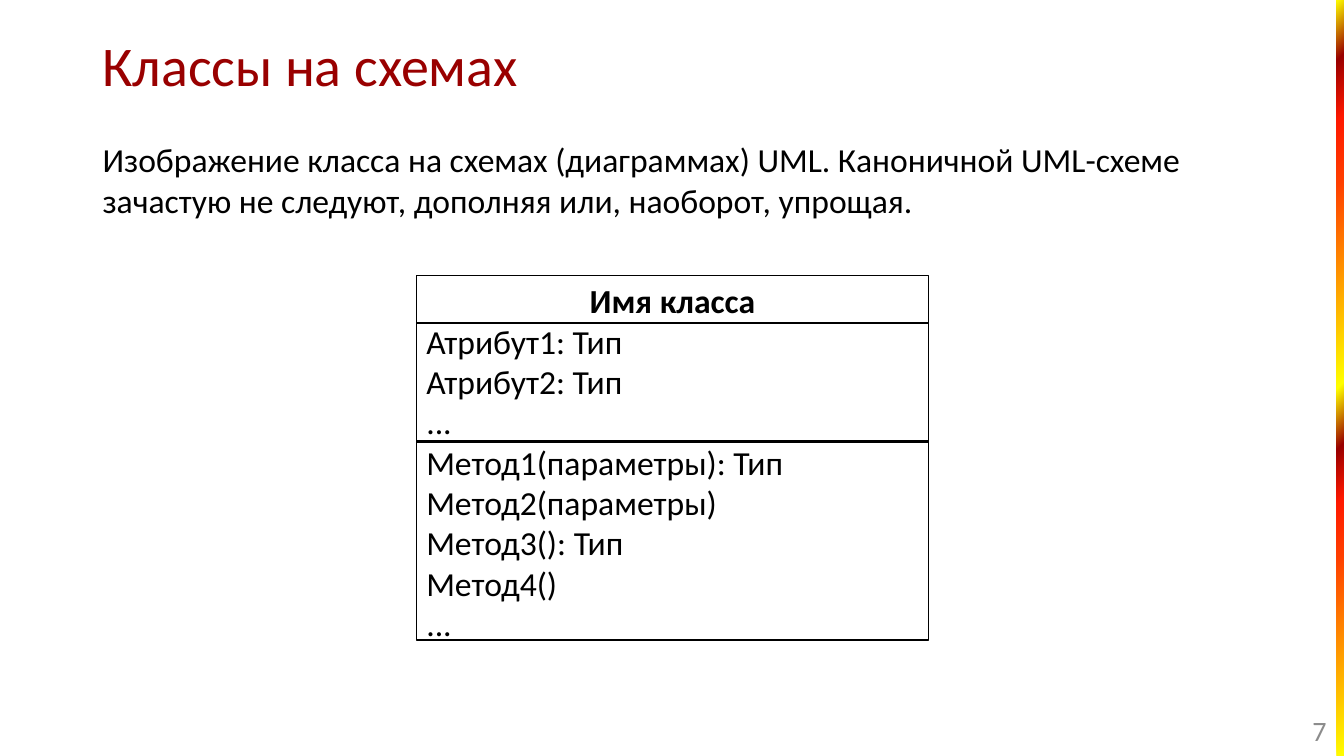
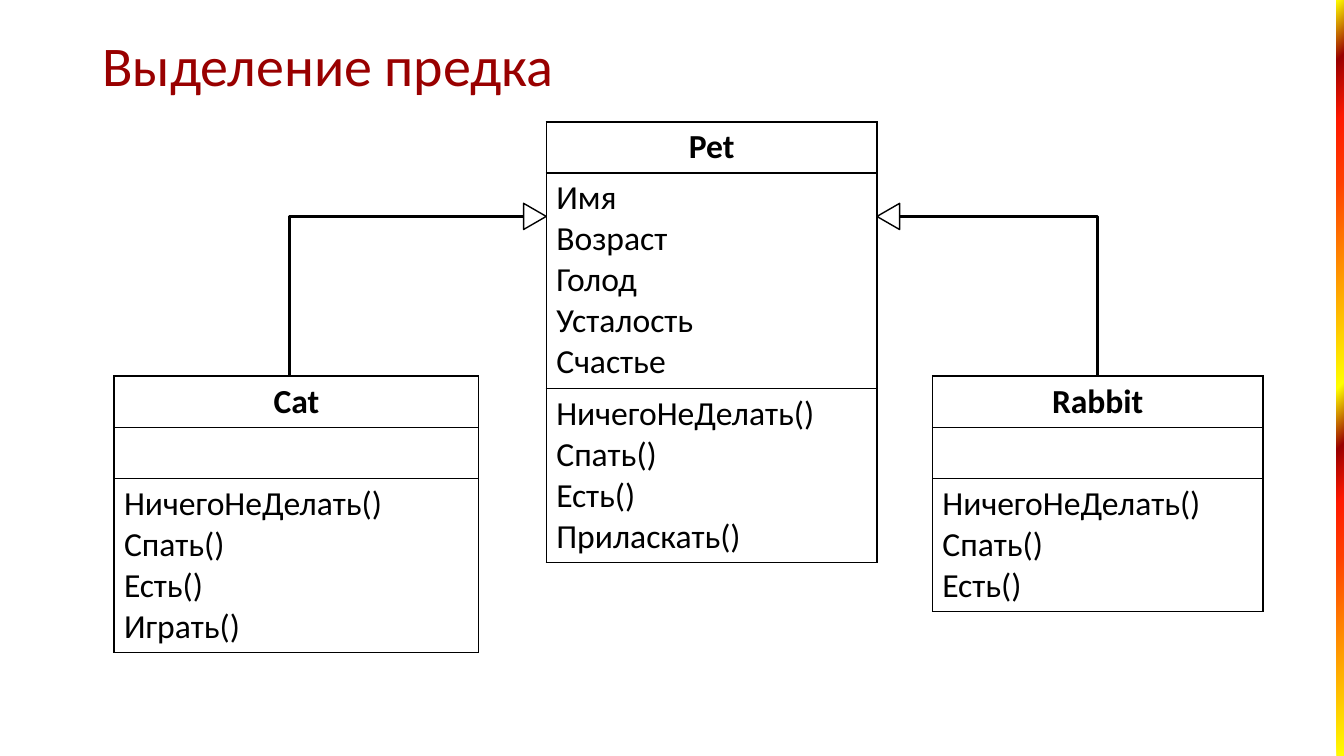
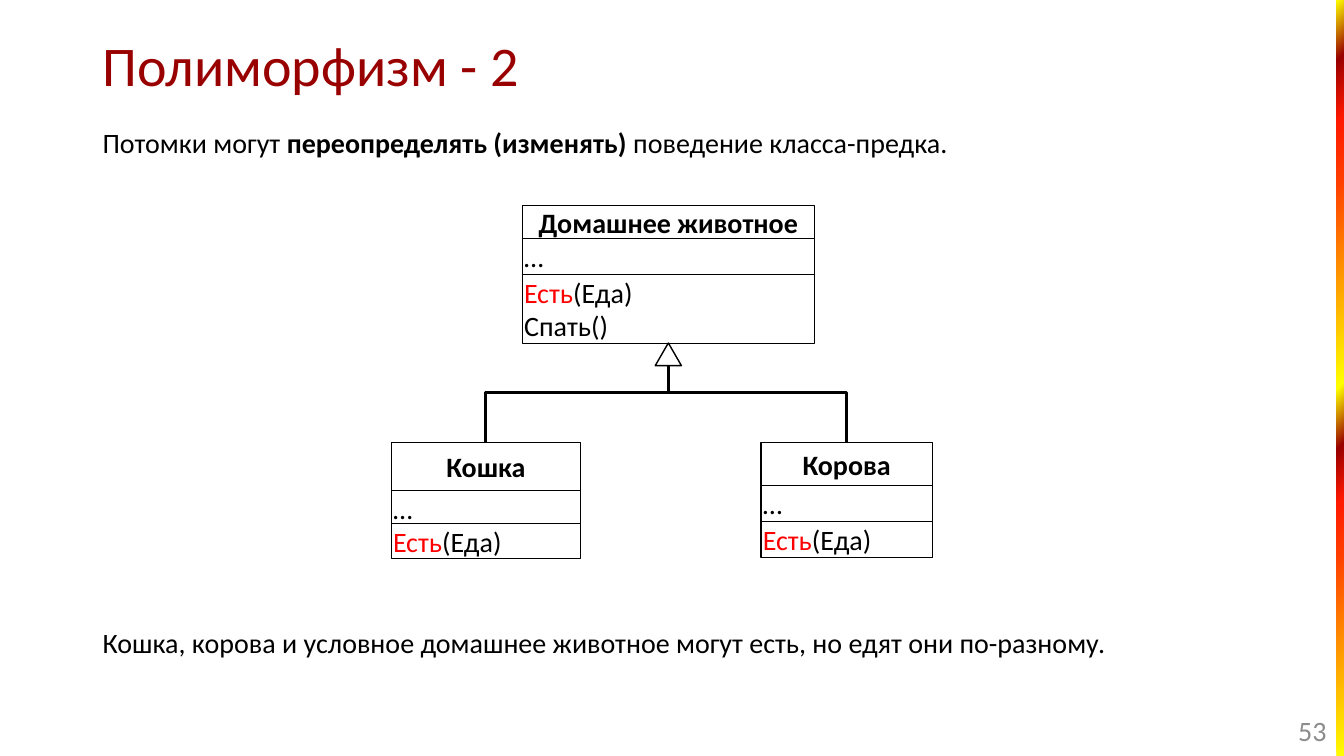
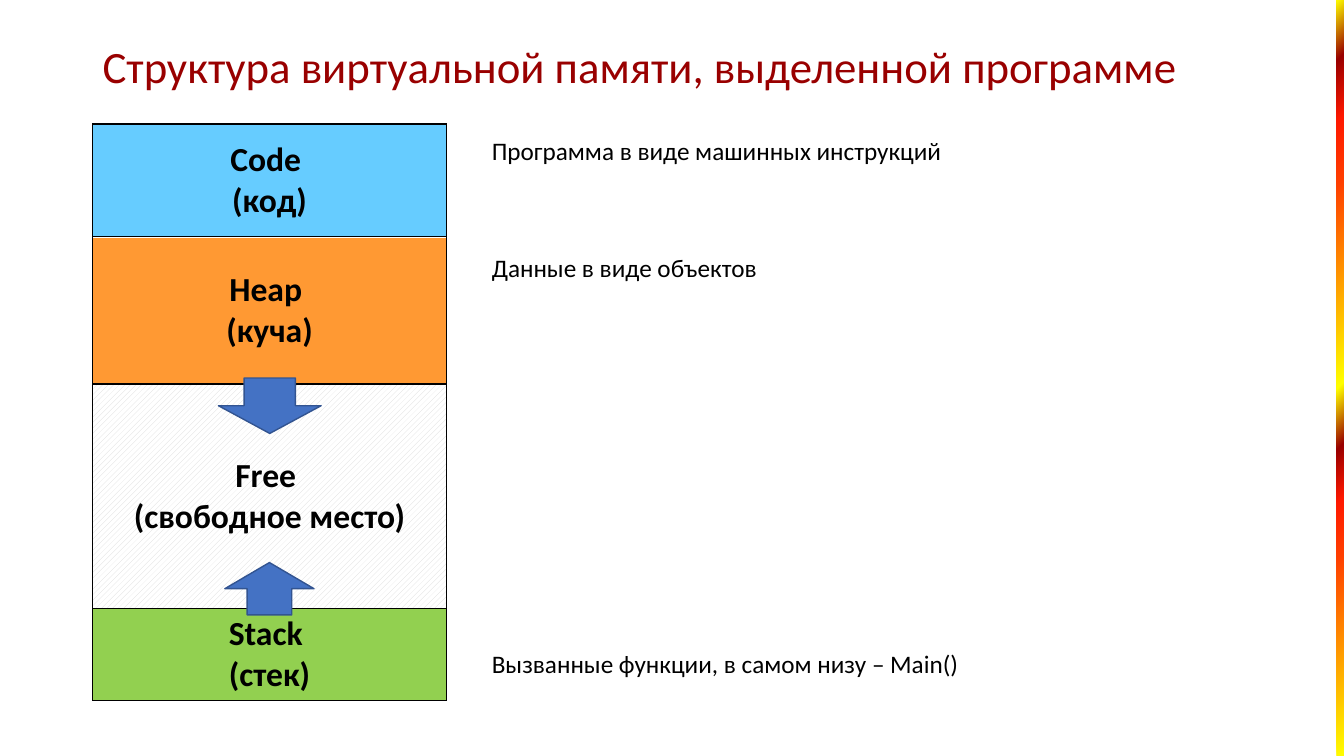
from lxml import etree
from pptx import Presentation
from pptx.dml.color import RGBColor
from pptx.enum.dml import MSO_PATTERN
from pptx.enum.shapes import MSO_CONNECTOR, MSO_SHAPE
from pptx.enum.text import MSO_ANCHOR, PP_ALIGN
from pptx.oxml.ns import qn
from pptx.util import Pt

RECT, TRIANGLE = MSO_SHAPE.RECTANGLE, MSO_SHAPE.ISOSCELES_TRIANGLE
DOWN_ARROW, UP_ARROW = MSO_SHAPE.DOWN_ARROW, MSO_SHAPE.UP_ARROW
STRAIGHT, ELBOW = MSO_CONNECTOR.STRAIGHT, MSO_CONNECTOR.ELBOW
LEFT, CENTER, RIGHT = PP_ALIGN.LEFT, PP_ALIGN.CENTER, PP_ALIGN.RIGHT
TOP, MIDDLE = MSO_ANCHOR.TOP, MSO_ANCHOR.MIDDLE
DARK_HORIZONTAL = MSO_PATTERN.DARK_HORIZONTAL
WIDE_DIAGONAL = MSO_PATTERN.WIDE_UPWARD_DIAGONAL

FONT = "Calibri"
COLORS = {
    "title": "990000", "text": "000000", "number": "8C8C8C", "accent": "FF0000",
    "line": "000000", "paper": "FFFFFF", "arrow": "4472C4", "arrow_line": "325491",
    "code": "66CCFF", "heap": "FF9933", "free": "D9D9D9", "stack": "92D050",
}
BAND_STOPS = [(0, "FFFF00"), (27, "FF3D00"), (34, "FF1900"), (41, "990000"),
              (49, "FFFF00"), (76, "FF3D00"), (84, "FF1900"), (92, "990000"),
              (100, "FFFF00")]
MARGIN = 66.2
DEFAULT_INSETS = (7.2, 3.6, 7.2, 3.6)
LINE_HEIGHT = 29.3  # one line of 24 pt text


def rgb(name):
    return RGBColor.from_string(COLORS[name])


# Text
def write(frame, lines, size, color="text", bold=False, align=LEFT):
    """Each line is a string or a list of (text, font overrides) runs."""
    for index, line in enumerate(lines):
        paragraph = frame.paragraphs[0] if index == 0 else frame.add_paragraph()
        paragraph.alignment = align
        for text, style in [(line, {})] if isinstance(line, str) else line:
            run = paragraph.add_run()
            run.text = text
            run.font.name = FONT
            run.font.size = Pt(size)
            run.font.bold = style.get("bold", bold)
            run.font.color.rgb = rgb(style.get("color", color))


def set_frame(frame, anchor, insets=DEFAULT_INSETS):
    frame.word_wrap = True
    frame.vertical_anchor = anchor
    (frame.margin_left, frame.margin_top,
     frame.margin_right, frame.margin_bottom) = map(Pt, insets)


def add_text(slide, box, lines, size, anchor=TOP, **style):
    frame = slide.shapes.add_textbox(*map(Pt, box)).text_frame
    set_frame(frame, anchor)
    write(frame, lines, size, **style)
    return frame


# Shapes and connectors
def add_shape(slide, kind, box, fill="paper", line="line", width=1):
    shape = slide.shapes.add_shape(kind, *map(Pt, box))
    shape.shadow.inherit = False
    shape.fill.solid()
    shape.fill.fore_color.rgb = rgb(fill)
    shape.line.color.rgb = rgb(line)
    shape.line.width = Pt(width)
    return shape


def add_line(slide, kind, start, end, width):
    connector = slide.shapes.add_connector(kind, *map(Pt, start + end))
    connector.line.color.rgb = rgb("line")
    connector.line.width = Pt(width)
    etree.SubElement(connector._element.spPr, qn("a:effectLst"))
    return connector


def add_elbow(slide, start, end, preset):
    """Bent connector that leaves its start upwards."""
    (x1, y1), (x2, y2) = start, end
    across, rise = abs(x2 - x1), y1 - y2
    left, top = (x1 + x2 - rise) / 2, (y1 + y2 - across) / 2
    connector = add_line(slide, ELBOW, (left, top), (left + rise, top + across), 2.25)
    properties = connector._element.spPr
    properties.find(qn("a:prstGeom")).set("prst", preset)
    xfrm = properties.find(qn("a:xfrm"))
    xfrm.set("rot", str((90 if x2 > x1 else 270) * 60000))
    xfrm.set("flipV", "1")
    if x2 > x1:
        xfrm.set("flipH", "1")


def add_inheritance_head(slide, tip, direction):
    """Hollow triangle whose tip points along direction."""
    base, height = 18.7, 16.2
    (x, y), (dx, dy) = tip, direction
    center_x, center_y = x - dx * height / 2, y - dy * height / 2
    box = (center_x - base / 2, center_y - height / 2, base, height)
    add_shape(slide, TRIANGLE, box).rotation = 90 * dx


# Tables
def add_column_table(slide, left, top, width, heights):
    frame = slide.shapes.add_table(len(heights), 1, Pt(left), Pt(top), Pt(width),
                                   Pt(sum(heights)))
    table = frame.table
    table.first_row = table.horz_banding = False
    for row, height in zip(table.rows, heights):
        row.height = Pt(height)
    return [table.cell(index, 0) for index in range(len(heights))]


def set_borders(cell):
    properties = cell._tc.get_or_add_tcPr()
    for index, side in enumerate(("a:lnL", "a:lnR", "a:lnT", "a:lnB")):
        border = etree.Element(qn(side), w=str(Pt(1)))
        fill = etree.SubElement(border, qn("a:solidFill"))
        etree.SubElement(fill, qn("a:srgbClr"), val=COLORS["line"])
        properties.insert(index, border)


def add_class_table(slide, left, top, width, name, attributes, methods):
    sections = [[name], attributes, methods]
    heights = [max(len(lines), 1) * LINE_HEIGHT + 7.2 for lines in sections]
    cells = add_column_table(slide, left, top, width, heights)
    for index, (cell, lines) in enumerate(zip(cells, sections)):
        cell.fill.background()
        set_borders(cell)
        write(cell.text_frame, lines, 24, bold=index == 0,
              align=CENTER if index == 0 else LEFT)


def add_class_boxes(slide, left, top, width, sections):
    """Stack of boxes, each given as (height, lines); the first holds the name."""
    for index, (height, lines) in enumerate(sections):
        is_name = index == 0
        frame = add_shape(slide, RECT, (left, top, width, height), width=0.75).text_frame
        set_frame(frame, MIDDLE if is_name else TOP, (1.4, 0 if is_name else 0.7, 1.4, 0))
        write(frame, lines, 20, bold=is_name, align=CENTER if is_name else LEFT)
        top += height


# Parts shared by all slides
def add_band(slide):
    band = add_shape(slide, RECT, (954.7, 0, 5.3, 540))
    band.line.fill.background()
    properties = band._element.spPr
    solid = properties.find(qn("a:solidFill"))
    gradient = etree.Element(qn("a:gradFill"), rotWithShape="1")
    stops = etree.SubElement(gradient, qn("a:gsLst"))
    for position, color in BAND_STOPS:
        stop = etree.SubElement(stops, qn("a:gs"), pos=str(position * 1000))
        etree.SubElement(stop, qn("a:srgbClr"), val=color)
    etree.SubElement(gradient, qn("a:lin"), ang=str(225 * 60000), scaled="0")
    properties.replace(solid, gradient)


def new_slide(deck, title, number=None, title_size=40):
    slide = deck.slides.add_slide(deck.slide_layouts[6])
    add_band(slide)
    frame = add_text(slide, (MARGIN, 10.8, 828, 76.3), [title], title_size, MIDDLE,
                     color="title")
    frame.paragraphs[0].line_spacing = 0.9
    if number:
        add_text(slide, (878.4, 507.6, 76.3, 28.8), [number], 20, MIDDLE,
                 color="number", align=RIGHT)
    return slide


# Slides
def build_class_notation(deck):
    slide = new_slide(deck, "Классы на схемах", "7")
    left, width = 297.4, 365.8
    frame = add_shape(slide, RECT, (left, 196.6, width, 260.6)).text_frame
    set_frame(frame, TOP)
    write(frame, ["Имя класса", "Атрибут1: Тип", "Атрибут2: Тип", "...",
                  "Метод1(параметры): Тип", "Метод2(параметры)", "Метод3(): Тип",
                  "Метод4()", "..."], 24)
    name = frame.paragraphs[0]
    name.alignment = CENTER
    name.runs[0].font.bold = True
    for y in (230.4, 315.4):
        add_line(slide, STRAIGHT, (left, y), (left + width, y), 1.5)
    add_text(slide, (MARGIN, 95.8, 828, 65.5),
             ["Изображение класса на схемах (диаграммах) UML. Каноничной UML-схеме "
              "зачастую не следуют, дополняя или, наоборот, упрощая."], 24)


def build_ancestor(deck):
    slide = new_slide(deck, "Выделение предка")
    common = ["НичегоНеДелать()", "Спать()", "Есть()"]
    child_top, arrow_y = 268.6, 154.6
    pet_left, pet_width = 390.2, 236.2
    add_class_table(slide, 81.4, child_top, 260.6, "Cat", [], common + ["Играть()"])
    add_class_table(slide, 666, child_top, pet_width, "Rabbit", [], common)
    add_class_table(slide, pet_left, 87.1, pet_width, "Pet",
                    ["Имя", "Возраст", "Голод", "Усталость", "Счастье"],
                    common + ["Приласкать()"])
    for child_x, tip_x, dx in ((206.6, pet_left, 1), (784.1, pet_left + pet_width, -1)):
        add_elbow(slide, (child_x, child_top), (tip_x - 16.2 * dx, arrow_y),
                  "bentConnector2")
        add_inheritance_head(slide, (tip_x, arrow_y), (dx, 0))


def build_polymorphism(deck):
    slide = new_slide(deck, "Полиморфизм - 2", "53")
    add_text(slide, (MARGIN, 86.4, 624, 31.7),
             [[("Потомки могут ", {}), ("переопределять (изменять)", {"bold": True}),
               (" поведение класса-предка.", {})]], 20)
    eat = [("Есть", {"color": "accent"}), ("(Еда)", {})]
    child_top, tip = 316.1, (477.4, 245)
    add_class_boxes(slide, 373, 146.9, 208.8,
                    [(23.8, ["Домашнее животное"]), (25.2, ["…"]),
                     (49.7, [eat, "Спать()"])])
    add_class_boxes(slide, 279.4, child_top, 135.4,
                    [(34.6, ["Кошка"]), (23, ["…"]), (25.2, [eat])])
    add_class_boxes(slide, 543.6, child_top, 122.4,
                    [(31, ["Корова"]), (25.6, ["…"]), (25.6, [eat])])
    for child_x in (347, 604.8):
        add_elbow(slide, (child_x, child_top), tip, "bentConnector3")
    add_inheritance_head(slide, tip, (0, -1))
    add_text(slide, (MARGIN, 443.5, 859, 31.7),
             ["Кошка, корова и условное домашнее животное могут есть, "
              "но едят они по-разному."], 20)


def build_memory(deck):
    slide = new_slide(deck, "Структура виртуальной памяти, выделенной программе",
                      title_size=32)
    areas = [("Code ", "(код)", 80.6, "code", None),
             ("Heap ", "(куча)", 105.1, "heap", DARK_HORIZONTAL),
             ("Free ", "(свободное место)", 160.6, "free", WIDE_DIAGONAL),
             ("Stack ", "(стек)", 65.7, "stack", None)]
    cells = add_column_table(slide, MARGIN, 88.6, 252.7, [area[2] for area in areas])
    for cell, (name, translation, _, color, pattern) in zip(cells, areas):
        if pattern is None:
            cell.fill.solid()
        else:
            cell.fill.patterned()
            cell.fill.pattern = pattern
            cell.fill.back_color.rgb = rgb("paper")
        cell.fill.fore_color.rgb = rgb(color)
        set_borders(cell)
        cell.vertical_anchor = MIDDLE
        write(cell.text_frame, [name, translation], 24, bold=True, align=CENTER)
    # Directions of growth
    add_shape(slide, DOWN_ARROW, (156, 270, 73.4, 39.6), "arrow", "arrow_line")
    add_shape(slide, UP_ARROW, (160.6, 401.8, 63.7, 37.4), "arrow", "arrow_line")
    # Explanations
    for top, note in ((92.9, "Программа в виде машинных инструкций"),
                      (176.4, "Данные в виде объектов"),
                      (459.4, "Вызванные функции, в самом низу – Main()")):
        add_text(slide, (344.2, top, 438.5, 28.8), [note], 18)


def main():
    deck = Presentation()
    deck.slide_width, deck.slide_height = Pt(960), Pt(540)
    build_class_notation(deck)
    build_ancestor(deck)
    build_polymorphism(deck)
    build_memory(deck)
    deck.save("out.pptx")


if __name__ == "__main__":
    main()
